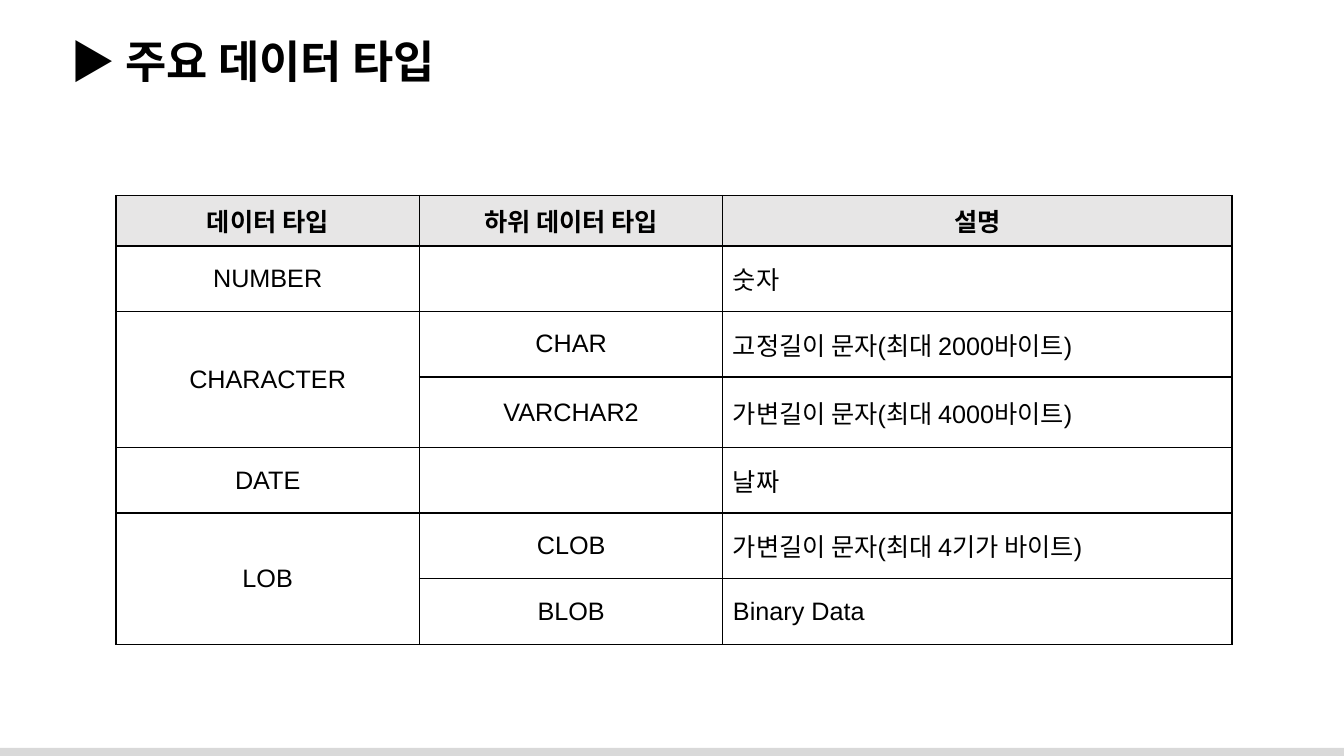
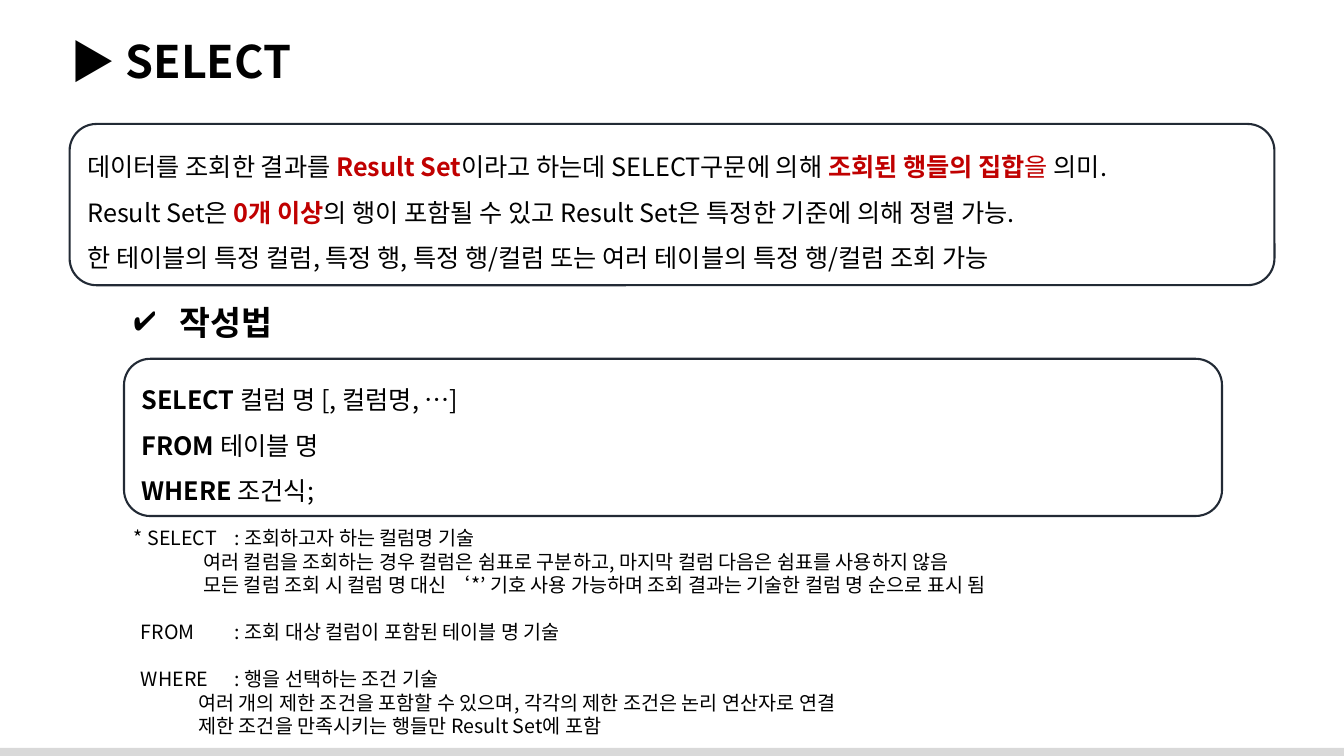
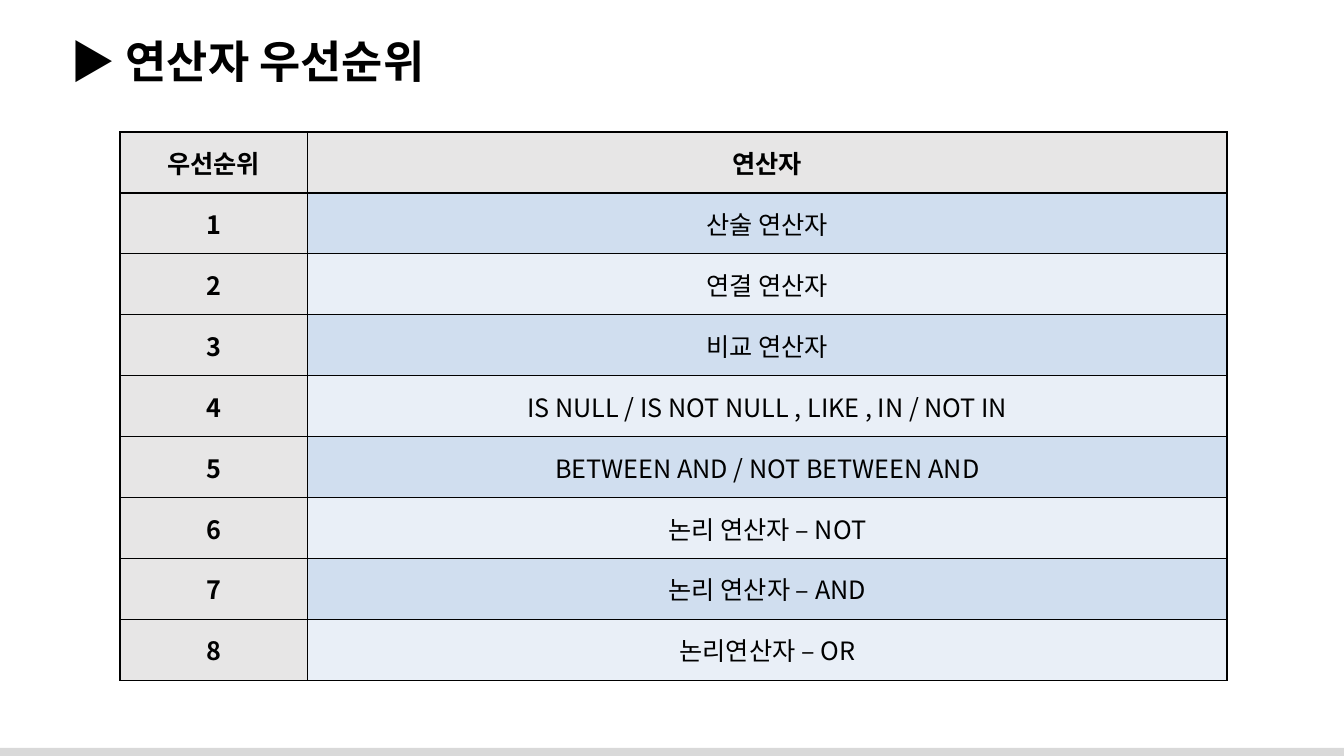
"""Build three SQL lecture slides: data types, SELECT and operator precedence."""
import dataclasses

import lxml.etree
import pptx
import pptx.dml.color
import pptx.enum.shapes
import pptx.enum.text
import pptx.oxml.ns
import pptx.util

Inches = pptx.util.Inches
Pt = pptx.util.Pt
RGB = pptx.dml.color.RGBColor.from_string
ALIGN = pptx.enum.text.PP_ALIGN
ANCHOR = pptx.enum.text.MSO_ANCHOR
SHAPE = pptx.enum.shapes.MSO_SHAPE
qn = pptx.oxml.ns.qn


@dataclasses.dataclass(frozen=True)
class Theme:
    font: str = "Noto Sans CJK KR"
    latin: str = "Arial"
    ink: str = "000000"
    accent: str = "C00000"
    outline: str = "222A35"
    band: str = "D9D9D9"
    header: str = "E7E6E6"
    stripes: tuple = ("D0DEEF", "E9EFF7")
    title: int = 32
    heading: int = 24
    body: int = 18
    note: int = 14


theme = Theme()


def add_span(para, text, size=theme.body, bold=False, color=theme.ink, font=theme.font):
    span = para.add_run()
    span.text = text
    span.font.size = Pt(size)
    span.font.bold = bold
    span.font.color.rgb = RGB(color)
    span.font.name = font
    lxml.etree.SubElement(span.font._element, qn("a:ea"), typeface=theme.font)


def add_grid(page, left, top, widths, heights, rows, fills, font, bold_columns, left_columns):
    frame = page.shapes.add_table(
        len(rows), len(widths), Inches(left), Inches(top),
        Inches(sum(widths)), Inches(sum(heights)))
    table = frame.table
    table.first_row = table.horz_banding = False
    for column, width in zip(table.columns, widths):
        column.width = Inches(width)
    for row, height in zip(table.rows, heights):
        row.height = Inches(height)
    for r, row in enumerate(rows):
        for c, text in enumerate(row):
            cell = table.cell(r, c)
            cell.vertical_anchor = ANCHOR.MIDDLE
            properties = cell._tc.get_or_add_tcPr()
            for side in ("a:lnL", "a:lnR", "a:lnT", "a:lnB"):
                line = lxml.etree.SubElement(properties, qn(side), w=str(Pt(1)))
                paint = lxml.etree.SubElement(line, qn("a:solidFill"))
                lxml.etree.SubElement(paint, qn("a:srgbClr"), val=theme.ink)
            if fills[r][c]:
                cell.fill.solid()
                cell.fill.fore_color.rgb = RGB(fills[r][c])
            else:
                cell.fill.background()
            if text:
                para = cell.text_frame.paragraphs[0]
                para.alignment = ALIGN.LEFT if r and c in left_columns else ALIGN.CENTER
                add_span(para, text, bold=r == 0 or c in bold_columns, font=font)
    return table


deck = pptx.Presentation()
deck.slide_width, deck.slide_height = Inches(13.33), Inches(7.5)

pages = []
for heading in ("주요 데이터 타입", "SELECT", "연산자 우선순위"):
    page = deck.slides.add_slide(deck.slide_layouts[5])
    title = page.shapes.title
    title.left, title.top = Inches(0.6), Inches(0.28)
    title.width, title.height = Inches(12.6), Inches(0.64)
    title.text_frame.vertical_anchor = ANCHOR.TOP
    para = title.text_frame.paragraphs[0]
    para.alignment = ALIGN.LEFT
    add_span(para, "▶ " + heading, theme.title, True)
    pages.append(page)
types_page, select_page, order_page = pages

band = types_page.shapes.add_shape(
    SHAPE.RECTANGLE, Inches(-0.03), Inches(7.42), Inches(13.39), Inches(0.11))
band.shadow.inherit = False
band.fill.solid()
band.fill.fore_color.rgb = RGB(theme.band)
band.line.fill.background()
deck.slide_master.element.cSld.spTree.append(band.element)

type_rows = [
    ("데이터 타입", "하위 데이터 타입", "설명"),
    ("NUMBER", "", "숫자"),
    ("CHARACTER", "CHAR", "고정길이 문자(최대 2000바이트)"),
    ("", "VARCHAR2", "가변길이 문자(최대 4000바이트)"),
    ("DATE", "", "날짜"),
    ("LOB", "CLOB", "가변길이 문자(최대 4기가 바이트)"),
    ("", "BLOB", "Binary Data"),
]
type_fills = [[theme.header] * 3] + [[None] * 3] * 6
type_table = add_grid(
    types_page, 1.15, 1.94, [3.01, 3.01, 5.05], [0.5, 0.65, 0.65, 0.7, 0.65, 0.65, 0.65],
    type_rows, type_fills, theme.latin, (), (2,))
for first in (2, 5):
    type_table.cell(first, 0).merge(type_table.cell(first + 1, 0))

plain, strong = (False, theme.ink), (True, theme.ink)
alert, soft_alert = (True, theme.accent), (False, theme.accent)
summary = [
    [("데이터를 조회한 결과를 ", plain), ("Result Set", alert),
     ("이라고 하는데 SELECT구문에 의해 ", plain), ("조회된 행들의 집합", alert),
     ("을 ", soft_alert), ("의미.", plain)],
    [("Result Set은 ", plain), ("0개 이상", alert),
     ("의 행이 포함될 수 있고 Result Set은 특정한 기준에 의해 정렬 가능.", plain)],
    [("한 테이블의 특정 컬럼, 특정 행, 특정 행/컬럼 또는 여러 테이블의 특정 행/컬럼 조회 가능", plain)],
]
syntax = [
    [("SELECT", strong), (" 컬럼 명 [, 컬럼명, …]", plain)],
    [("FROM", strong), (" 테이블 명", plain)],
    [("WHERE", strong), (" 조건식;", plain)],
]
for left, top, width, height, lines in (
        (0.69, 1.23, 11.95, 1.6, summary), (1.23, 3.56, 10.89, 1.56, syntax)):
    box = select_page.shapes.add_shape(
        SHAPE.ROUNDED_RECTANGLE, Inches(left), Inches(top), Inches(width), Inches(height))
    box.shadow.inherit = False
    box.fill.background()
    box.line.color.rgb = RGB(theme.outline)
    box.line.width = Pt(1.5)
    frame = box.text_frame
    frame.word_wrap = True
    frame.vertical_anchor = ANCHOR.MIDDLE
    for number, line in enumerate(lines):
        para = frame.add_paragraph() if number else frame.paragraphs[0]
        para.alignment = ALIGN.LEFT
        para.line_spacing = 1.5
        for text, (bold, color) in line:
            add_span(para, text, bold=bold, color=color)

box = select_page.shapes.add_textbox(Inches(1.23), Inches(2.95), Inches(1.71), Inches(0.5))
box.text_frame.word_wrap = True
para = box.text_frame.paragraphs[0]
properties = para._p.get_or_add_pPr()
properties.set("marL", str(Inches(0.38)))
properties.set("indent", str(Inches(-0.38)))
lxml.etree.SubElement(properties, qn("a:buChar"), char="✔")
add_span(para, " 작성법", theme.heading, True)

notes = [
    ("* SELECT", 0, 0.95, ": 조회하고자 하는 컬럼명 기술", 0.69, (
        "여러 컬럼을 조회하는 경우 컬럼은 쉼표로 구분하고, 마지막 컬럼 다음은 쉼표를 사용하지 않음",
        "모든 컬럼 조회 시 컬럼 명 대신 ‘*’ 기호 사용 가능하며 조회 결과는 기술한 컬럼 명 순으로 표시 됨")),
    ("FROM", 0.07, 0.79, ": 조회 대상 컬럼이 포함된 테이블 명 기술", 0, ()),
    ("WHERE", 0.07, 0.84, ": 행을 선택하는 조건 기술", 0.64, (
        "여러 개의 제한 조건을 포함할 수 있으며, 각각의 제한 조건은 논리 연산자로 연결",
        "제한 조건을 만족시키는 행들만 Result Set에 포함")),
]
box = select_page.shapes.add_textbox(Inches(1.23), Inches(5.17), Inches(10.9), Inches(2.22))
frame = box.text_frame
frame.word_wrap = True
for number, (keyword, indent, stop, meaning, detail_indent, details) in enumerate(notes):
    para = frame.add_paragraph() if number else frame.paragraphs[0]
    if number:
        para.space_before = Pt(16.8)
    properties = para._p.get_or_add_pPr()
    properties.set("indent", str(Inches(indent)))
    tabs = lxml.etree.SubElement(properties, qn("a:tabLst"))
    lxml.etree.SubElement(tabs, qn("a:tab"), pos=str(Inches(stop)), algn="l")
    add_span(para, keyword + "\t" + meaning, theme.note)
    for detail in details:
        para = frame.add_paragraph()
        para._p.get_or_add_pPr().set("marL", str(Inches(detail_indent)))
        add_span(para, detail, theme.note)

operators = (
    "산술 연산자", "연결 연산자", "비교 연산자",
    "IS NULL / IS NOT NULL , LIKE , IN / NOT IN", "BETWEEN AND / NOT BETWEEN AND",
    "논리 연산자 – NOT", "논리 연산자 – AND", "논리연산자 – OR")
order_rows = [("우선순위", "연산자")]
order_fills = [(theme.header, theme.header)]
for index, operator in enumerate(operators):
    order_rows.append((str(index + 1), operator))
    order_fills.append((theme.header, theme.stripes[index % 2]))
add_grid(
    order_page, 1.19, 1.31, [1.86, 9.12], [5.44 / len(order_rows)] * len(order_rows),
    order_rows, order_fills, theme.font, (0,), ())

deck.save("out.pptx")
